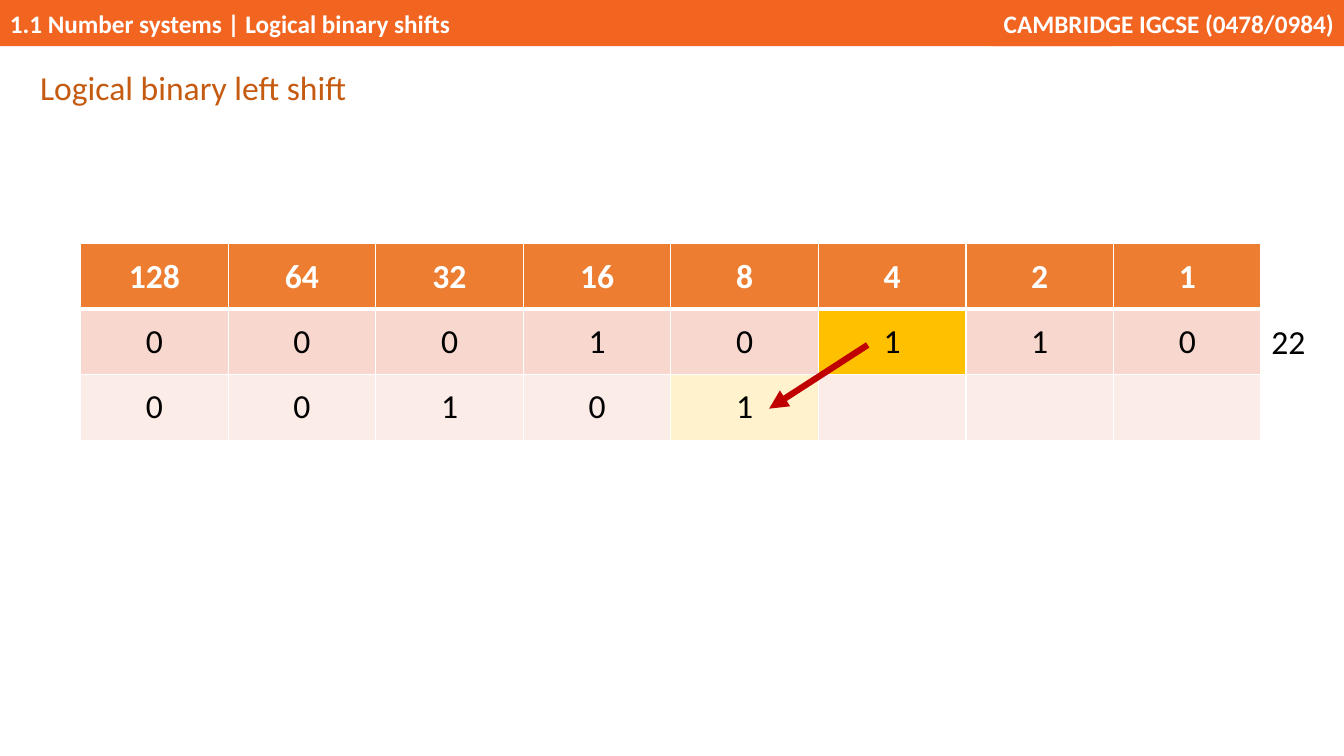
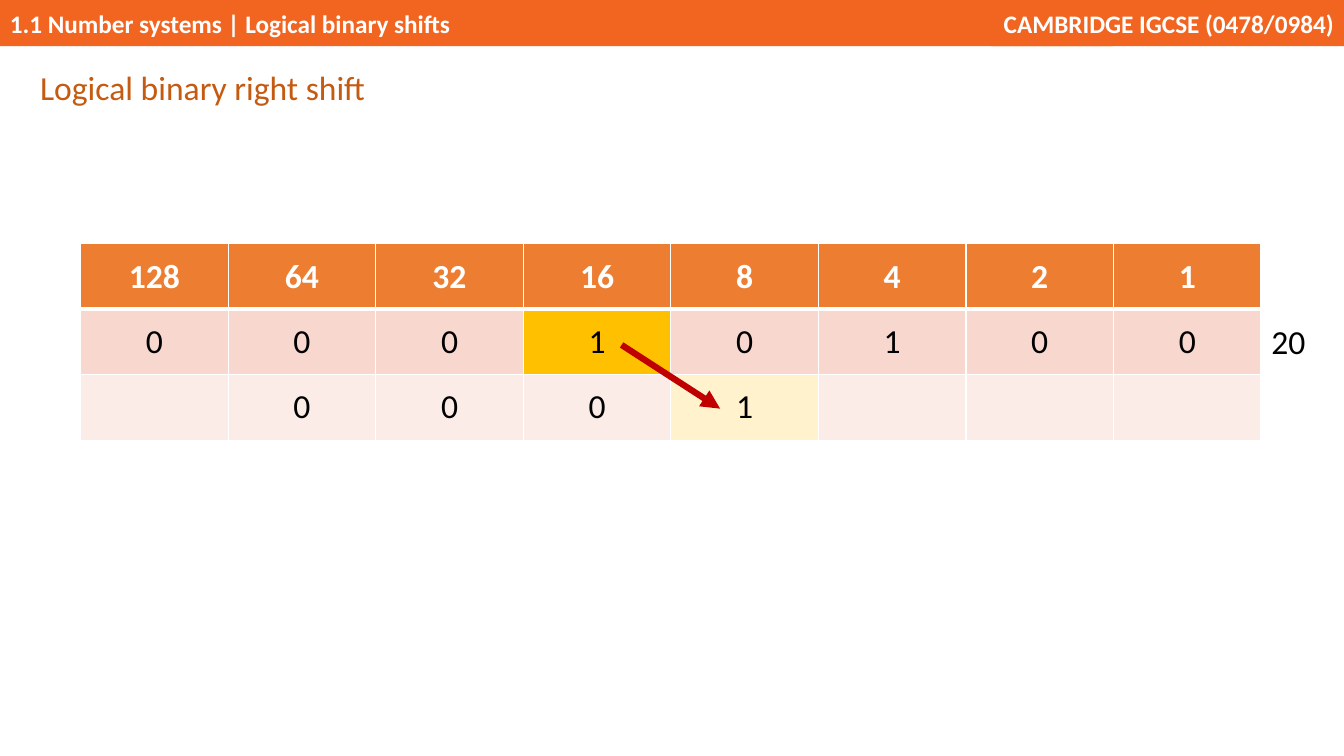
from lxml import etree
from pptx import Presentation
from pptx.dml.color import RGBColor
from pptx.enum import shapes, text
from pptx.oxml import ns
from pptx.util import Pt

BAND = RGBColor(0xF2, 0x65, 0x21)
TITLE = RGBColor(0xC5, 0x5A, 0x11)
HEADER = RGBColor(0xED, 0x7D, 0x31)
BEFORE = RGBColor(0xF8, 0xD7, 0xCE)
AFTER = RGBColor(0xFC, 0xEC, 0xE8)
MOVING_BIT = RGBColor(0xFF, 0xC0, 0x00)
MOVED_BIT = RGBColor(0xFF, 0xF2, 0xCC)
ARROW = RGBColor(0xC0, 0x00, 0x00)
WHITE = RGBColor(0xFF, 0xFF, 0xFF)
BLACK = RGBColor(0x00, 0x00, 0x00)

FONT = "Calibri"
SLIDE_W, SLIDE_H = 960, 540
BAND_H = 33
GRID_X, GRID_Y = 57.6, 174.2
COL_W, ROW_H = 105.4, 46.8
PLACE_VALUES = [2 ** power for power in range(7, -1, -1)]
LEFT, CENTER, RIGHT = (text.PP_ALIGN.LEFT, text.PP_ALIGN.CENTER,
                       text.PP_ALIGN.RIGHT)


class Deck:
    """Holds the shared style and the slide being built."""

    def __init__(self):
        self.prs = Presentation()
        self.prs.slide_width, self.prs.slide_height = Pt(SLIDE_W), Pt(SLIDE_H)
        self.slide = None

    def new_slide(self, title):
        self.slide = self.prs.slides.add_slide(self.prs.slide_layouts[6])
        self.band(0, 795, "1.1 Number systems | Logical binary shifts", LEFT)
        self.band(708, SLIDE_W - 708, "CAMBRIDGE IGCSE (0478/0984)", RIGHT)
        heading = self.label(21.6, 42.5, 534, 36.8, title, TITLE, LEFT)
        heading.line_spacing = 1.07
        heading.space_after = Pt(8)

    def add_words(self, frame, words, color, align, size=24, bold=False):
        paragraph = frame.paragraphs[0]
        paragraph.alignment = align
        run = paragraph.add_run()
        run.text = words
        run.font.name, run.font.size, run.font.bold = FONT, Pt(size), bold
        run.font.color.rgb = color
        return paragraph

    def band(self, x, width, words, align):
        band = self.slide.shapes.add_shape(
            shapes.MSO_SHAPE.RECTANGLE, Pt(x), Pt(0), Pt(width), Pt(BAND_H))
        band.shadow.inherit = False
        band.fill.solid()
        band.fill.fore_color.rgb = BAND
        band.line.fill.background()
        band.text_frame.vertical_anchor = text.MSO_ANCHOR.MIDDLE
        self.add_words(band.text_frame, words, WHITE, align, 18, True)

    def label(self, x, y, width, height, words, color, align, wrap=True):
        frame = self.slide.shapes.add_textbox(
            Pt(x), Pt(y), Pt(width), Pt(height)).text_frame
        frame.word_wrap = wrap
        frame.auto_size = text.MSO_AUTO_SIZE.SHAPE_TO_FIT_TEXT
        return self.add_words(frame, words, color, align)

    def borders(self, cell, row):
        """White cell lines, thicker between the header and the first row."""
        widths = {"L": 1, "R": 1, "T": 3 if row == 1 else 1,
                  "B": 3 if row == 0 else 1}
        properties = cell._tc.get_or_add_tcPr()
        for side, width in widths.items():
            line = etree.SubElement(properties, ns.qn(f"a:ln{side}"),
                                    w=str(Pt(width)))
            fill = etree.SubElement(line, ns.qn("a:solidFill"))
            etree.SubElement(fill, ns.qn("a:srgbClr"), val=str(WHITE))

    def bit_table(self, rows, highlights):
        table = self.slide.shapes.add_table(
            len(rows), len(PLACE_VALUES), Pt(GRID_X), Pt(GRID_Y),
            Pt(COL_W * len(PLACE_VALUES)), Pt(ROW_H * len(rows))).table
        table.horz_banding = False
        for r, (values, row_fill) in enumerate(zip(rows, (HEADER, BEFORE, AFTER))):
            for c, value in enumerate(values):
                cell = table.cell(r, c)
                self.borders(cell, r)
                cell.fill.solid()
                cell.fill.fore_color.rgb = highlights.get((r, c), row_fill)
                cell.vertical_anchor = text.MSO_ANCHOR.MIDDLE
                digits = str(value).strip()
                if digits:
                    self.add_words(cell.text_frame, digits,
                                   BLACK if r else WHITE, CENTER, bold=r == 0)

    def shift_arrow(self, source, target):
        """Arrow from a bit in the first row to its place in the second."""
        step = 17.5 if target > source else -17.5
        x1 = GRID_X + COL_W * (source + 0.5) + step
        x2 = GRID_X + COL_W * (target + 0.5) - step
        y1 = GRID_Y + ROW_H * 1.5 + 2
        arrow = self.slide.shapes.add_connector(
            shapes.MSO_CONNECTOR.STRAIGHT, Pt(x1), Pt(y1), Pt(x2),
            Pt(y1 + 45.5))
        arrow.line.color.rgb = ARROW
        arrow.line.width = Pt(4.5)
        properties = arrow._element.spPr
        etree.SubElement(properties.find(ns.qn("a:ln")), ns.qn("a:tailEnd"),
                         type="triangle")
        etree.SubElement(properties, ns.qn("a:effectLst"))

    def shift_slide(self, title, before, after, source, target):
        self.new_slide(title)
        self.bit_table([PLACE_VALUES, before, after],
                       {(1, source): MOVING_BIT, (2, target): MOVED_BIT})
        self.shift_arrow(source, target)
        self.label(GRID_X + COL_W * len(PLACE_VALUES), 226, 39, 36.4,
                   str(int(before, 2)), BLACK, CENTER, wrap=False)


def main():
    deck = Deck()
    deck.shift_slide("Logical binary left shift",
                     "00010110", "00101".ljust(8), source=5, target=4)
    deck.shift_slide("Logical binary right shift",
                     "00010100", " 0001".ljust(8), source=3, target=4)
    deck.prs.save("out.pptx")


if __name__ == "__main__":
    main()
